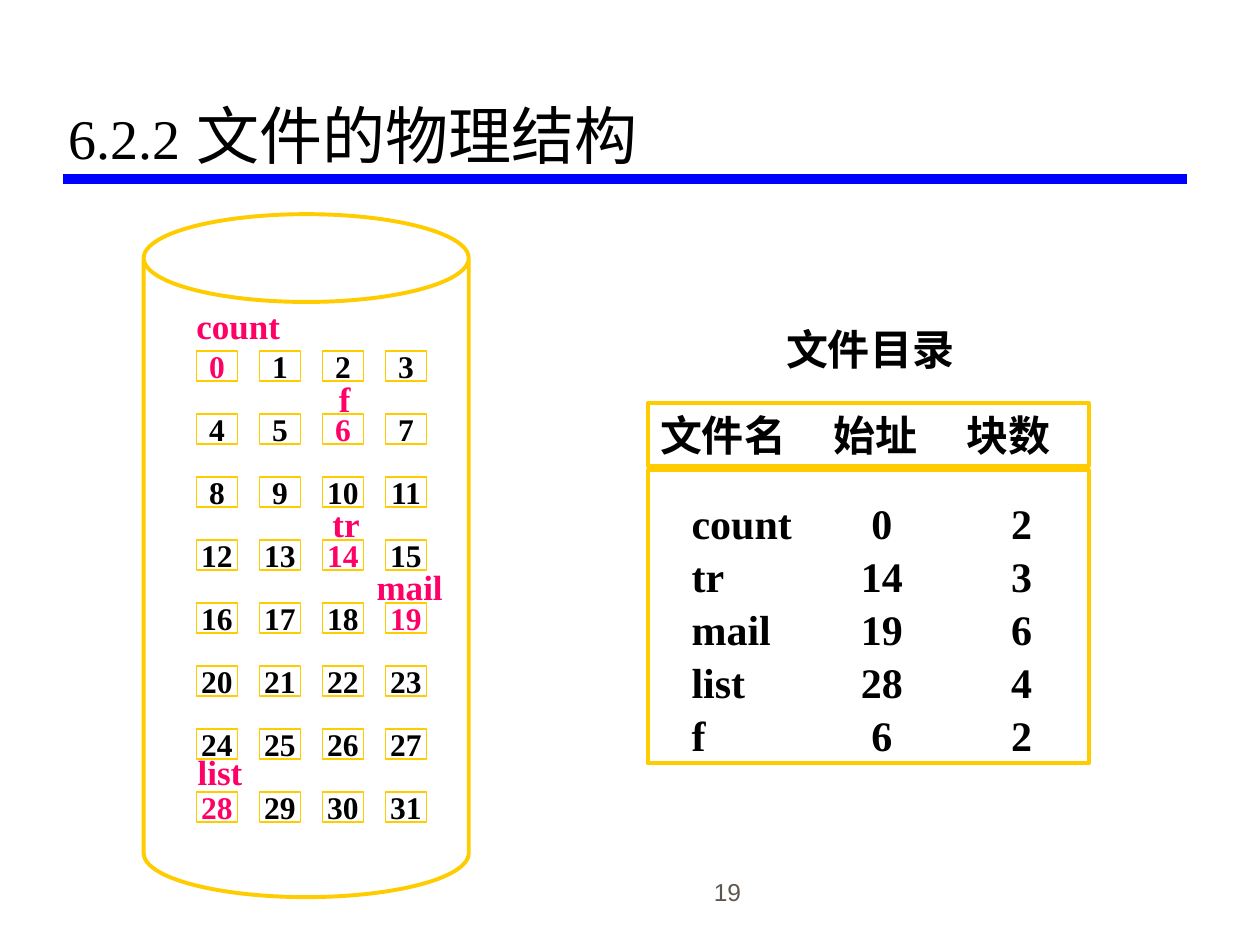
from pptx import Presentation
from pptx import util as u
from pptx.dml.color import RGBColor
from pptx.enum import shapes, text
from pptx.oxml.xmlchemy import OxmlElement

BLACK = RGBColor(0x00, 0x00, 0x00)
PINK = RGBColor(0xFF, 0x00, 0x66)
GOLD = RGBColor(0xFF, 0xCC, 0x00)
BLUE = RGBColor(0x00, 0x00, 0xFF)
GRAY = RGBColor(0x5E, 0x57, 0x4E)
SERIF = "Times New Roman"
LEFT, MID, RIGHT = text.PP_ALIGN.LEFT, text.PP_ALIGN.CENTER, text.PP_ALIGN.RIGHT

deck = Presentation()
deck.slide_width, deck.slide_height = u.Inches(10), u.Inches(7.5)
UNIT = deck.slide_width // 100  # the slide is 100 columns by 75 rows
slide = deck.slides.add_slide(deck.slide_layouts[5])


def add(kind, x, y, w, h, line=2.25):
    """Add an outlined shape, or a text box when kind is None; grid units."""
    box = [round(n * UNIT) for n in (x, y, w, h)]
    if kind is None:
        item = slide.shapes.add_textbox(*box)
    else:
        item = slide.shapes.add_shape(kind, *box)
        item.shadow.inherit = False
        item.fill.background()
        item.line.color.rgb = GOLD
        item.line.width = u.Pt(line)
    item.text_frame.word_wrap = True
    return item


def write(item, words, size, color=BLACK, align=LEFT, font=SERIF, bold=True,
          tabs=()):
    """Fill an item with text; tabs are (offset, kind) pairs in grid units."""
    item.text_frame.text = words
    for para in item.text_frame.paragraphs:
        para.alignment = align
        para.space_before = para.space_after = u.Pt(0.7)
        if tabs:
            stops = OxmlElement("a:tabLst")
            for pos, kind in tabs:
                stop = OxmlElement("a:tab")
                stop.set("pos", str(round(pos * UNIT)))
                stop.set("algn", kind)
                stops.append(stop)
            para._p.get_or_add_pPr().append(stops)
        for run in para.runs:
            run.font.name, run.font.size = font, u.Pt(size)
            run.font.bold, run.font.color.rgb = bold, color


# Title and rule
title = slide.shapes.title
title.left, title.top, title.width, title.height = [
    round(n * UNIT) for n in (4.4, 1.7, 89.7, 12.5)]
frame = title.text_frame
write(title, "6.2.2", 32, bold=False)
frame.auto_size = text.MSO_AUTO_SIZE.NONE
frame.vertical_anchor = text.MSO_ANCHOR.BOTTOM
name = frame.paragraphs[0].add_run()
name.text = " 文件的物理结构"
name.font.name, name.font.size = "Montserrat", u.Pt(36)
name.font.color.rgb = BLACK

rule = slide.shapes.add_connector(
    shapes.MSO_CONNECTOR.STRAIGHT,
    *[round(n * UNIT) for n in (5, 14.2, 94.2, 14.2)])
rule.line.color.rgb, rule.line.width = BLUE, u.Pt(6)
rule._element.spPr.append(OxmlElement("a:effectLst"))

number = add(None, 39, 67.4, 20.8, 5)
write(number, "19", 14, GRAY, RIGHT, "Arial", False)
number.text_frame.vertical_anchor = text.MSO_ANCHOR.BOTTOM

# Disk blocks: 8 rows of 4, first block of each file in pink
STARTS = {0, 6, 14, 19, 28}
for block in range(32):
    row, col = divmod(block, 4)
    cell = add(shapes.MSO_SHAPE.RECTANGLE, 15.6 + 5 * col, 27.85 + 5 * row,
               3.25, 2.4, 0.75)
    write(cell, str(block), 18, PINK if block in STARTS else BLACK, MID)
    cell.text_frame.word_wrap = False
    cell.text_frame.vertical_anchor = text.MSO_ANCHOR.MIDDLE

disk = add(shapes.MSO_SHAPE.CAN, 11.4, 17, 25.8, 54.2)
disk.adjustments[0] = 0.27

# File directory
head = add(shapes.MSO_SHAPE.RECTANGLE, 51.4, 32, 35, 5)
write(head, "文件名\t始址\t块数", 24, tabs=[(13.8, "l"), (24.3, "l")])
head.text_frame.vertical_anchor = text.MSO_ANCHOR.TOP
add(shapes.MSO_SHAPE.RECTANGLE, 51.4, 37.3, 35, 23.3)

FILES = [("count", 0, 2), ("tr", 14, 3), ("mail", 19, 6), ("list", 28, 4),
         ("f", 6, 2)]
body = add(None, 53.9, 39, 29.8, 21.6)
write(body, "\n".join("\t".join(map(str, file)) for file in FILES), 24,
      tabs=[(15.1, "ctr"), (26.2, "ctr")])

heading = add(None, 61.4, 25.2, 15.3, 5)
write(heading, "文件目录", 24)

# File names beside their first blocks
LABELS = [("count", 14.6, 23.7, 9.4), ("f", 25.9, 29.5, 2.5),
          ("tr", 25.4, 39.4, 4.2), ("mail", 28.9, 44.4, 7.5),
          ("list", 14.7, 59.1, 7.5)]
for label, x, y, w in LABELS:
    write(add(None, x, y, w, 4.4), label, 20, PINK)

deck.save("out.pptx")
